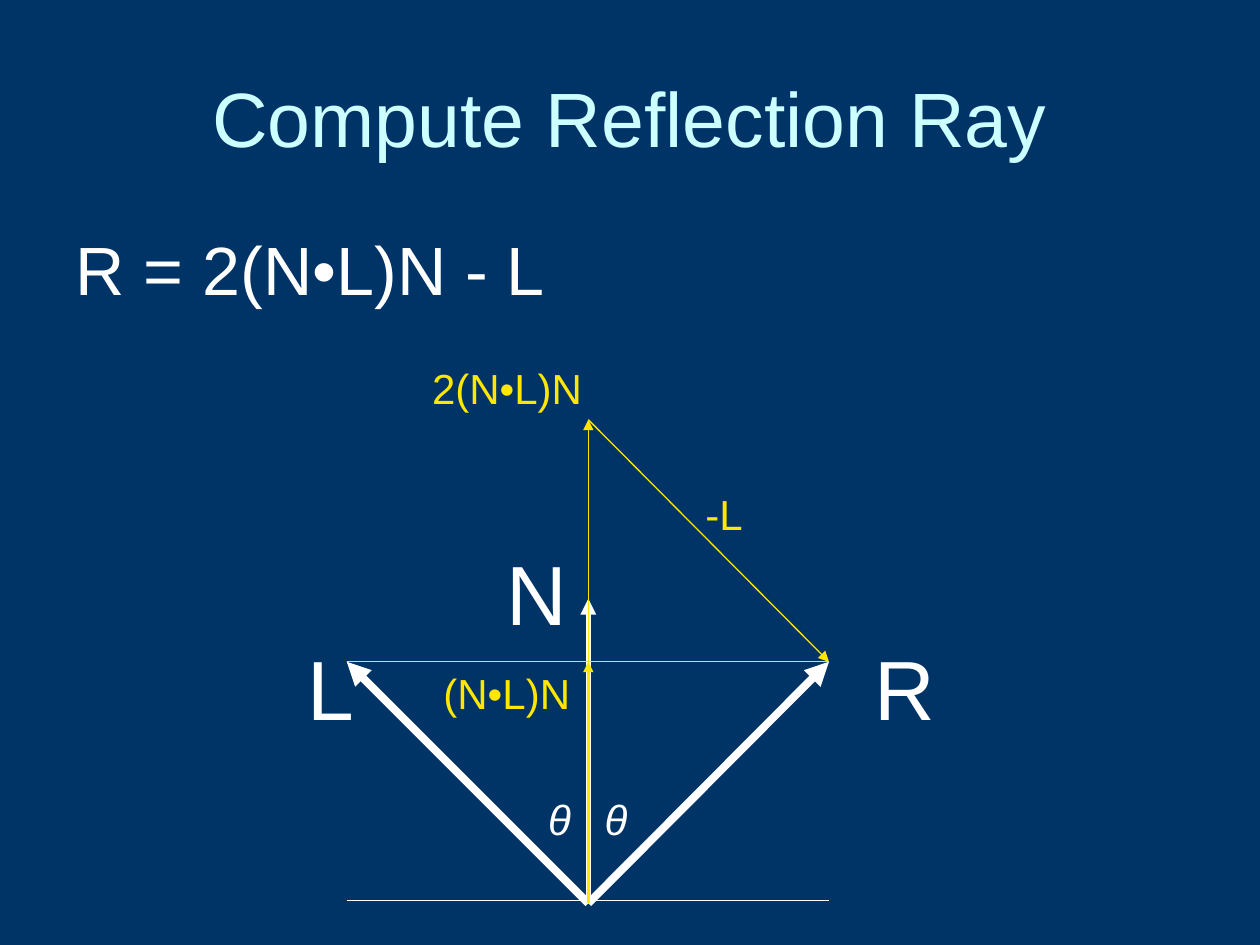
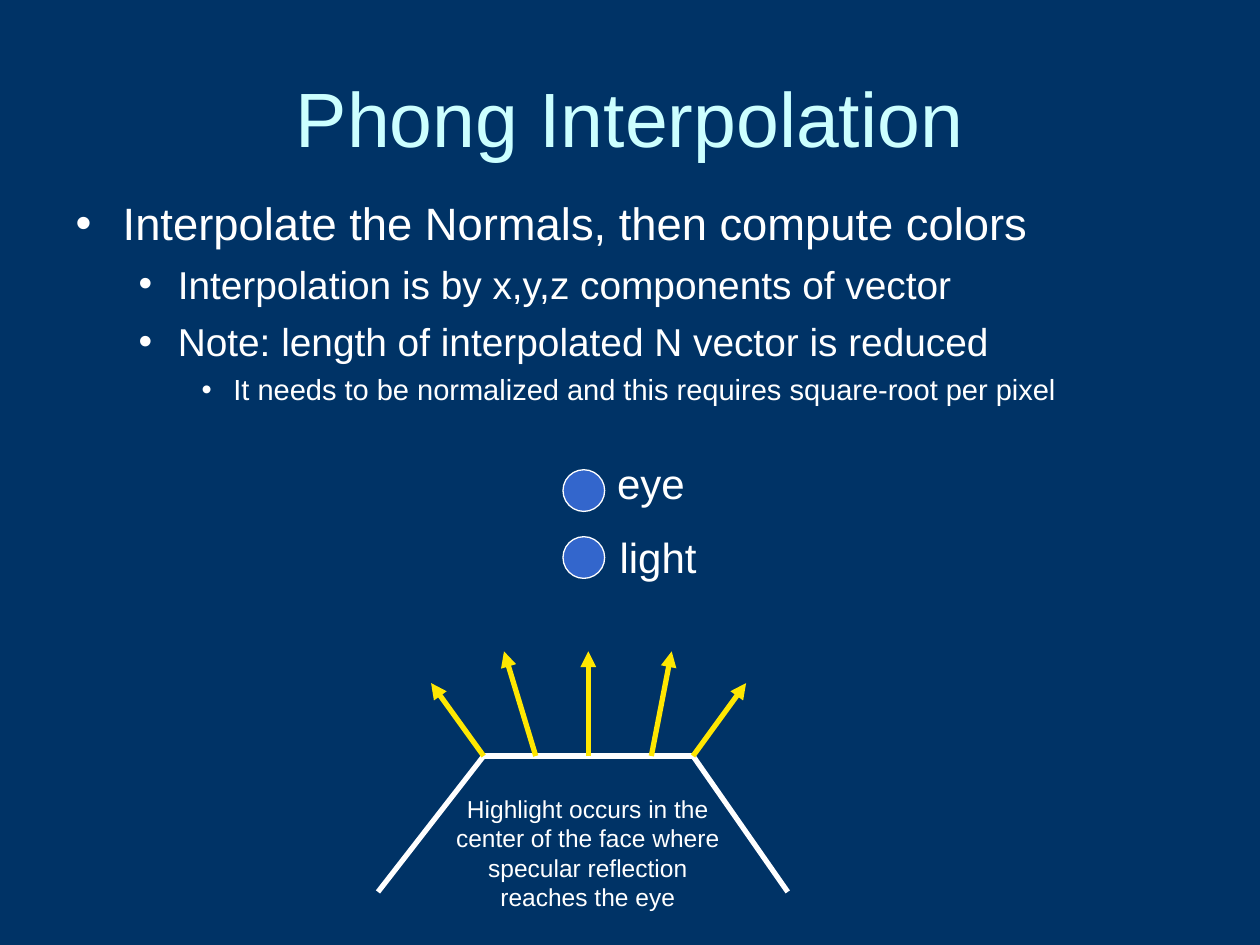
"""Build two slides on reflection rays and Phong interpolation."""
from dataclasses import dataclass

from lxml import etree
from pptx import Presentation
from pptx import util as u
from pptx.dml.color import RGBColor
from pptx.enum import shapes, text
from pptx.oxml.ns import qn


@dataclass(frozen=True)
class Theme:
    font: str = "Arial"
    background: str = "003366"
    title: str = "CCFFFF"
    white: str = "FFFFFF"
    yellow: str = "FFE701"
    ball: str = "3366CC"
    title_size: float = 44
    formula_size: float = 39
    vector_size: float = 48
    label_size: float = 24
    caption_size: float = 14
    bullet_sizes: tuple = (25.9, 22.2, 16.6)


theme = Theme()


def write(shape, words, *, box=None, size=theme.label_size, color=theme.white,
          italic=False, align=text.PP_ALIGN.LEFT, anchor=text.MSO_ANCHOR.TOP,
          wrap=True, add=False, level=0, before=0, indent=None, bullet=None):
    if box:
        shape.left, shape.top, shape.width, shape.height = map(u.Cm, box)
    frame = shape.text_frame
    frame.word_wrap = wrap
    frame.auto_size = text.MSO_AUTO_SIZE.NONE
    frame.vertical_anchor = anchor
    paragraph = frame.add_paragraph() if add else frame.paragraphs[0]
    paragraph.level = level
    paragraph.alignment = align
    paragraph.line_spacing = 1.0
    paragraph.space_before = u.Pt(before)
    properties = paragraph._p.get_or_add_pPr()
    if indent:
        left, hanging = indent
        properties.set("marL", str(u.Cm(left)))
        properties.set("indent", str(-u.Cm(hanging)))
    if bullet:
        etree.SubElement(properties, qn("a:buChar")).set("char", bullet)
    else:
        etree.SubElement(properties, qn("a:buNone"))
    run = paragraph.add_run()
    run.text = words
    run.font.name = theme.font
    run.font.size = u.Pt(size)
    run.font.italic = italic
    run.font.color.rgb = RGBColor.from_string(color)


def draw_line(slide, start, end, color, width, arrow=False):
    line = slide.shapes.add_connector(
        shapes.MSO_CONNECTOR.STRAIGHT, *map(u.Cm, (*start, *end)))
    line.line.color.rgb = RGBColor.from_string(color)
    line.line.width = u.Pt(width)
    if arrow:
        etree.SubElement(line.line._get_or_add_ln(), qn("a:tailEnd")).set("type", "triangle")
    etree.SubElement(line._element.spPr, qn("a:effectLst"))


presentation = Presentation()
presentation.slide_width, presentation.slide_height = u.Cm(25.4), u.Cm(19.05)
master_fill = presentation.slide_master.background.fill
master_fill.solid()
master_fill.fore_color.rgb = RGBColor.from_string(theme.background)

slides = []
for title in ("Compute Reflection Ray", "Phong Interpolation"):
    slide = presentation.slides.add_slide(presentation.slide_layouts[1])
    write(slide.shapes.title, title, box=(1.27, 0.76, 22.86, 3.18),
          size=theme.title_size, color=theme.title,
          align=text.PP_ALIGN.CENTER, anchor=text.MSO_ANCHOR.MIDDLE)
    slides.append(slide)
reflection, phong = slides

write(reflection.placeholders[1], "R = 2(N•L)N - L", box=(1.27, 4.45, 22.86, 12.57),
      size=theme.formula_size, indent=(0.95, 0.95))

origin = (11.86, 18.21)
normal_tip = (11.86, 12.07)
light_tip = (6.99, 13.34)
reflected_tip = (16.71, 13.34)
projection_tip = (11.86, 13.34)
double_tip = (11.86, 8.46)
for start, end, color, width, arrow in (
    (origin, normal_tip, theme.white, 3, True),
    (origin, light_tip, theme.white, 4.5, True),
    ((6.99, 18.16), (16.71, 18.16), theme.white, 0.75, False),
    (origin, reflected_tip, theme.white, 4.5, True),
    (light_tip, reflected_tip, theme.yellow, 0.75, False),
    (origin, double_tip, theme.yellow, 0.5, True),
    (double_tip, reflected_tip, theme.yellow, 0.75, True),
    (origin, projection_tip, theme.yellow, 1.5, True),
):
    draw_line(reflection, start, end, color, width, arrow)

vector_label = dict(size=theme.vector_size, wrap=False)
angle_label = dict(italic=True, wrap=False)
yellow_label = dict(color=theme.yellow)
caption = dict(size=theme.caption_size, align=text.PP_ALIGN.CENTER)
for slide, words, box, style in (
    (reflection, "R", (17.37, 12.7, 1.73, 2.29), vector_label),
    (reflection, "N", (9.96, 10.8, 1.73, 2.29), vector_label),
    (reflection, "L", (5.94, 12.7, 1.45, 2.29), vector_label),
    (reflection, "θ", (10.8, 15.88, 0.97, 1.27), angle_label),
    (reflection, "θ", (11.94, 15.88, 0.97, 1.27), angle_label),
    (reflection, "2(N•L)N", (8.46, 7.19, 3.81, 1.27), yellow_label),
    (reflection, "-L", (13.97, 9.73, 1.3, 1.27), yellow_label),
    (reflection, "(N•L)N", (8.69, 13.34, 3.81, 1.27), yellow_label),
    (phong, "eye", (12.19, 9.09, 1.88, 1.27), dict(wrap=False)),
    (phong, "light", (12.24, 10.59, 2.06, 1.27), dict(wrap=False)),
    (phong, "Highlight occurs in the center of the face where specular "
            "reflection reaches the eye", (8.89, 15.88, 5.92, 2.64), caption),
):
    write(slide.shapes.add_textbox(*map(u.Cm, box)), words, **style)

indents = ((0.95, 0.95), (2.06, 0.79), (3.18, 0.64))
spaces = (7, 6, 4.5)
for index, (level, words) in enumerate((
    (0, "Interpolate the Normals, then compute colors"),
    (1, "Interpolation is by x,y,z components of vector"),
    (1, "Note: length of interpolated N vector is reduced"),
    (2, "It needs to be normalized and this requires square-root per pixel"),
)):
    write(phong.placeholders[1], words, box=(1.27, 3.81, 22.86, 4.65),
          size=theme.bullet_sizes[level], add=index > 0, level=level,
          before=spaces[level] if index else 0, indent=indents[level], bullet="•")

face = ((7.62, 17.98), (9.75, 15.24), (13.97, 15.24), (15.88, 17.98))
for start, end in zip(face, face[1:]):
    draw_line(phong, start, end, theme.white, 3)

for foot, tip_x, tip_y in ((9.75, 8.69, 13.77), (10.8, 10.16, 13.13), (11.86, 11.86, 13.13),
                           (13.13, 13.54, 13.13), (13.97, 15.04, 13.77)):
    draw_line(phong, (foot, 15.24), (tip_x, tip_y), theme.yellow, 3, True)

for top in (9.47, 10.82):
    ball = phong.shapes.add_shape(
        shapes.MSO_SHAPE.OVAL, *map(u.Cm, (11.35, top, 0.84, 0.84)))
    ball.shadow.inherit = False
    ball.fill.solid()
    ball.fill.fore_color.rgb = RGBColor.from_string(theme.ball)
    ball.line.color.rgb = RGBColor.from_string(theme.white)
    ball.line.width = u.Pt(0.75)

presentation.save("out.pptx")
